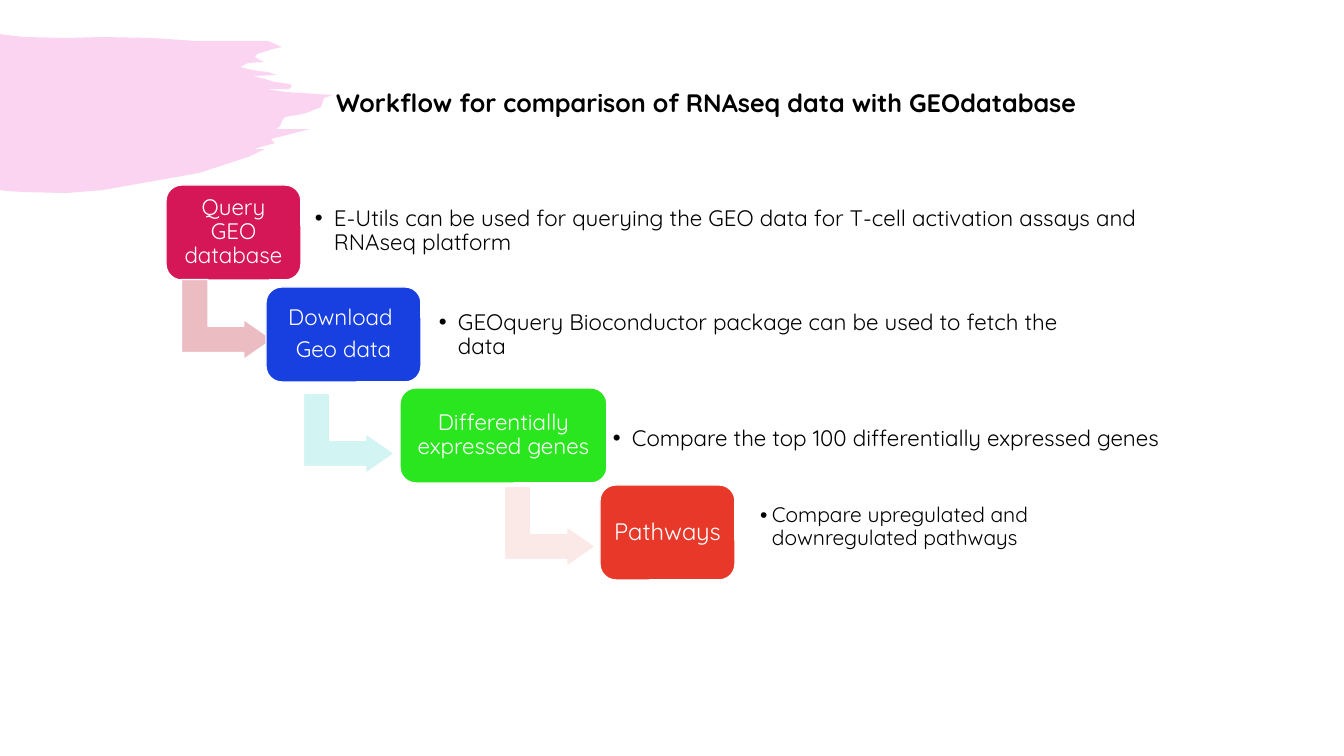
from dataclasses import dataclass
from typing import NamedTuple

from lxml.etree import SubElement
from pptx import Presentation
from pptx.dml.color import RGBColor
from pptx.enum.shapes import MSO_SHAPE
from pptx.enum.text import MSO_ANCHOR, MSO_AUTO_SIZE, PP_ALIGN
from pptx.oxml.ns import qn
from pptx.util import Emu, Pt

EMU_PER_PIXEL = 914400 / 100.8


@dataclass(frozen=True)
class Theme:
    font: str = "Quicksand"
    text: str = "000000"
    light: str = "FFFFFF"
    brush: str = "E729B8"
    brush_alpha: int = 20000
    title_size: int = 18
    line_spacing: float = 0.9
    outline: int = 1


class Box(NamedTuple):
    left: int
    top: int
    width: int
    height: int


class Arrow(NamedTuple):
    left: int
    top: int
    color: str


@dataclass(frozen=True)
class Step:
    box: Box
    color: str
    lines: tuple[str, ...]
    size: int
    note_box: Box
    note: str
    note_size: int = 16
    note_inset: int = 7
    note_indent: int = 19
    arrow: Arrow | None = None


THEME = Theme()
TITLE_BOX = Box(326, 82, 773, 40)
TITLE = "Workflow for comparison of RNAseq data with GEOdatabase "
STEPS = (
    Step(Box(166, 185, 135, 95), "D51757", ("Query GEO database",), 16,
         Box(308, 193, 853, 77),
         "E-Utils can be used for querying the GEO data for T-cell activation assays and RNAseq platform"),
    Step(Box(266, 287, 155, 95), "1840E0", ("Download ", "Geo data"), 16,
         Box(432, 297, 635, 77),
         "GEOquery Bioconductor package can be used to fetch the data ",
         arrow=Arrow(187, 274, "EBBDC3")),
    Step(Box(400, 388, 207, 95), "2AE61E", ("Differentially expressed genes",), 16,
         Box(606, 401, 684, 77),
         "Compare the top 100 differentially expressed genes ",
         arrow=Arrow(309, 388, "D2F4F2")),
    Step(Box(600, 485, 135, 95), "E73829", ("Pathways",), 17,
         Box(752, 489, 331, 77),
         "Compare upregulated and downregulated pathways",
         note_size=15, note_inset=8, note_indent=12,
         arrow=Arrow(510, 481, "FBE9E8")),
)
BRUSH_OUTLINE = (
    (0, 34), (6, 35), (25, 37), (67, 38), (103, 37), (152, 38), (196, 41), (250, 41),
    (268, 41), (282, 47), (273, 49), (257, 54), (255, 57), (258, 59), (264, 62),
    (248, 63), (240, 67), (248, 69), (258, 71), (268, 72), (277, 75), (253, 76),
    (265, 79), (275, 82), (282, 83), (290, 84), (292, 86), (289, 89), (286, 89),
    (265, 89), (286, 92), (333, 95), (324, 98), (321, 107), (309, 112), (302, 114),
    (285, 117), (282, 121), (280, 126), (276, 129), (310, 129), (271, 139), (275, 143),
    (254, 149), (265, 149), (248, 157), (199, 173), (103, 190), (66, 193), (23, 192),
    (7, 191), (0, 190),
)


def pixels(value: float) -> Emu:
    return Emu(round(value * EMU_PER_PIXEL))


def place(shape, box: Box) -> None:
    shape.left, shape.top, shape.width, shape.height = map(pixels, box)


def set_inset(frame, inset: int) -> None:
    frame.margin_left = frame.margin_right = pixels(inset)
    frame.margin_top = frame.margin_bottom = pixels(inset)
    frame.vertical_anchor = MSO_ANCHOR.MIDDLE


def style_font(paragraph, size: int, color: str, bold: bool = False) -> None:
    font = paragraph.font
    font.name, font.size, font.bold = THEME.font, Pt(size), bold
    font.color.rgb = RGBColor.from_string(color)


def space_lines(paragraph, after: float) -> None:
    paragraph.line_spacing = THEME.line_spacing
    paragraph.space_before = Pt(0)
    paragraph.space_after = Pt(after)


def add_bullet(paragraph, indent: int) -> None:
    properties = paragraph._p.get_or_add_pPr()
    properties.set("marL", str(pixels(indent)))
    properties.set("indent", str(-pixels(indent)))
    SubElement(properties, qn("a:buFont")).set("typeface", "Arial")
    SubElement(properties, qn("a:buChar")).set("char", "•")


def add_filled(slide, kind: MSO_SHAPE, box: Box, color: str):
    shape = slide.shapes.add_shape(kind, *map(pixels, box))
    shape.shadow.inherit = False
    shape.fill.solid()
    shape.fill.fore_color.rgb = RGBColor.from_string(color)
    shape.line.color.rgb = RGBColor.from_string(THEME.light)
    shape.line.width = Pt(THEME.outline)
    return shape


def draw_brush(slide) -> None:
    builder = slide.shapes.build_freeform(*BRUSH_OUTLINE[0], scale=EMU_PER_PIXEL)
    builder.add_line_segments(BRUSH_OUTLINE[1:], close=True)
    brush = builder.convert_to_shape()
    brush.shadow.inherit = False
    brush.line.fill.background()
    brush.fill.solid()
    brush.fill.fore_color.rgb = RGBColor.from_string(THEME.brush)
    color = brush._element.spPr.find(qn("a:solidFill"))[0]
    SubElement(color, qn("a:alpha")).set("val", str(THEME.brush_alpha))


def draw_title(title) -> None:
    place(title, TITLE_BOX)
    frame = title.text_frame
    frame.text = TITLE
    frame.word_wrap = False
    frame.auto_size = MSO_AUTO_SIZE.NONE
    frame.vertical_anchor = MSO_ANCHOR.MIDDLE
    paragraph = frame.paragraphs[0]
    paragraph.alignment = PP_ALIGN.LEFT
    style_font(paragraph, THEME.title_size, THEME.text, bold=True)


def draw_arrow(slide, arrow: Arrow) -> None:
    shape = add_filled(slide, MSO_SHAPE.BENT_UP_ARROW, Box(arrow.left, arrow.top, 80, 91), arrow.color)
    shape.rotation = 90
    for index, value in enumerate((0.33, 0.25, 0.36)):
        shape.adjustments[index] = value


def draw_step(slide, step: Step) -> None:
    if step.arrow:
        draw_arrow(slide, step.arrow)
    shape = add_filled(slide, MSO_SHAPE.ROUNDED_RECTANGLE, step.box, step.color)
    frame = shape.text_frame
    frame.word_wrap = True
    set_inset(frame, 7)
    frame.text = "\n".join(step.lines)
    for paragraph in frame.paragraphs:
        paragraph.alignment = PP_ALIGN.CENTER
        space_lines(paragraph, step.size * 0.35)
        style_font(paragraph, step.size, THEME.light)


def draw_note(body, step: Step) -> None:
    place(body, step.note_box)
    frame = body.text_frame
    frame.text = step.note
    frame.word_wrap = True
    frame.auto_size = MSO_AUTO_SIZE.NONE
    set_inset(frame, step.note_inset)
    paragraph = frame.paragraphs[0]
    space_lines(paragraph, step.note_size * 0.15)
    add_bullet(paragraph, step.note_indent)
    style_font(paragraph, step.note_size, THEME.text)


presentation = Presentation()
presentation.slide_width, presentation.slide_height = pixels(1344), pixels(756)
comparison_layout = presentation.slide_layouts.get_by_name("Comparison")
slide = presentation.slides.add_slide(comparison_layout)
title, *bodies = slide.placeholders
draw_brush(slide)
draw_title(title)
for step, body in zip(STEPS, bodies):
    draw_step(slide, step)
    draw_note(body, step)
presentation.save("out.pptx")
